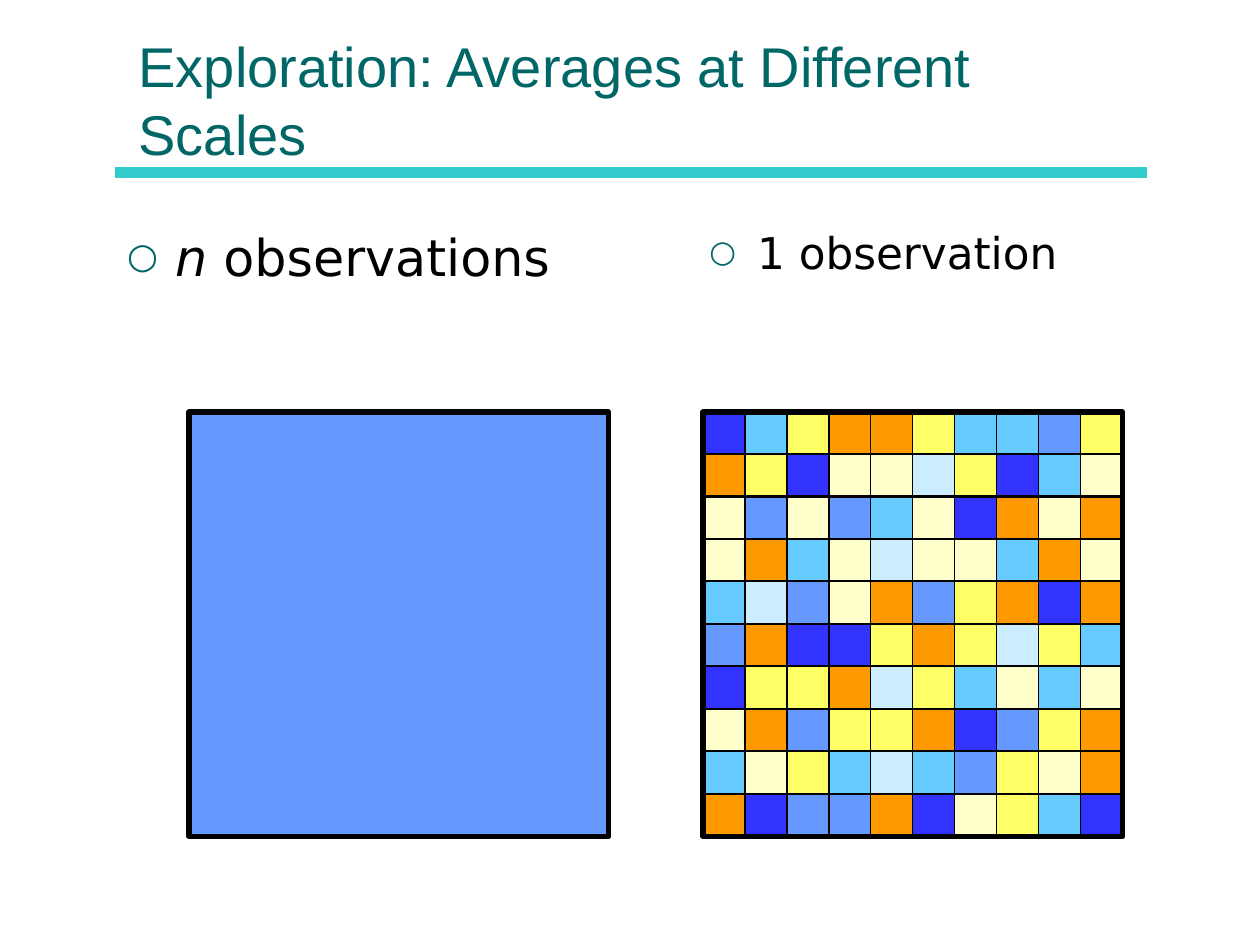
import pptx
import pptx.dml.color
import pptx.enum.shapes
import pptx.enum.text
import pptx.oxml
import pptx.oxml.ns
import pptx.util
from pptx.util import Inches

TITLE = {
    "at": (1, 0.12, 8, 1.25),
    "spans": [("Exploration: Averages at Different Scales", {})],
    "format": {"name": "Arial", "size": pptx.util.Pt(32)},
    "color": "006666",
}
LISTS = [
    {
        "at": (0.91, 1.74, 8.19, 4.5),
        "spans": [("n", {"italic": True}), (" observations", {"italic": False})],
        "format": {"name": "DejaVu Sans", "size": pptx.util.Pt(29)},
        "color": "000000",
    },
    {
        "at": (5.53, 1.74, 4.47, 4.5),
        "spans": [("1 observation", {})],
        "format": {"name": "DejaVu Sans", "size": pptx.util.Pt(25)},
        "color": "000000",
    },
]
BULLET = [
    '<a:buClr {}><a:srgbClr val="006666"/></a:buClr>',
    '<a:buSzPct {} val="70000"/>',
    '<a:buFont {} typeface="DejaVu Sans"/>',
    '<a:buChar {} char="○"/>',
]
COLORS = {
    "B": "3333FF", "M": "6699FF", "C": "66CCFF", "P": "CCECFF",
    "I": "FFFFCC", "Y": "FFFF66", "O": "FF9900",
}
GRID = [
    "BCYOOYCCMY",
    "OYBIIPYBCI",
    "IMIMCIBOIO",
    "IOCIPIICOI",
    "CPMIOMYOBO",
    "MOBBYOYPYC",
    "BYYOPYCICI",
    "IOMYYOBMYO",
    "CIYCPCMYIO",
    "OBMMOBIYCB",
]
SQUARE_LEFT, GRID_LEFT, TOP, WIDTH, HEIGHT = 1.5, 5.58, 3.27, 3.33, 3.37
CELL = 0.33


def rgb(value):
    return pptx.dml.color.RGBColor.from_string(value)


def fill_placeholder(box, content, anchor):
    box.left, box.top, box.width, box.height = map(Inches, content["at"])
    frame = box.text_frame
    frame.word_wrap = True
    frame.auto_size = pptx.enum.text.MSO_AUTO_SIZE.NONE
    frame.vertical_anchor = anchor
    para = frame.paragraphs[0]
    para.alignment = pptx.enum.text.PP_ALIGN.LEFT
    para.space_before = pptx.util.Pt(0)
    for text, extra in content["spans"]:
        span = para.add_run()
        span.text = text
        for key, value in (content["format"] | extra).items():
            setattr(span.font, key, value)
        span.font.color.rgb = rgb(content["color"])
    return para


def add_bullet(para):
    properties = para._p.get_or_add_pPr()
    properties.set("marL", str(Inches(0.38)))
    properties.set("indent", str(Inches(-0.38)))
    namespace = pptx.oxml.ns.nsdecls("a")
    for element in BULLET:
        properties.append(pptx.oxml.parse_xml(element.format(namespace)))


def add_rectangle(page, left, top, width, height, fill, weight):
    shape = page.shapes.add_shape(
        pptx.enum.shapes.MSO_SHAPE.RECTANGLE,
        *map(Inches, (left, top, width, height)))
    shape.shadow.inherit = False
    if fill:
        shape.fill.solid()
        shape.fill.fore_color.rgb = rgb(fill)
    else:
        shape.fill.background()
    shape.line.color.rgb = rgb("000000")
    shape.line.width = pptx.util.Pt(weight)


def add_rule(page):
    rule = page.shapes.add_connector(
        pptx.enum.shapes.MSO_CONNECTOR.STRAIGHT,
        *map(Inches, (0.91, 1.37, 9.1, 1.37)))
    rule.line.color.rgb = rgb("33CCCC")
    rule.line.width = pptx.util.Pt(6)
    rule._element.spPr.append(pptx.oxml.parse_xml(
        f'<a:effectLst {pptx.oxml.ns.nsdecls("a")}/>'))


def main():
    deck = pptx.Presentation()
    deck.slide_width, deck.slide_height = Inches(10), Inches(7.5)
    page = deck.slides.add_slide(deck.slide_layouts.get_by_name("Two Content"))
    add_rule(page)

    anchors = pptx.enum.text.MSO_ANCHOR
    fill_placeholder(page.shapes.title, TITLE, anchors.BOTTOM)
    for index, content in enumerate(LISTS, start=1):
        add_bullet(fill_placeholder(page.placeholders[index], content, anchors.TOP))

    add_rectangle(page, SQUARE_LEFT, TOP, WIDTH, HEIGHT, COLORS["M"], 3)
    for row, letters in enumerate(GRID):
        for column, letter in enumerate(letters):
            left = GRID_LEFT + column * WIDTH / len(letters)
            top = TOP + row * HEIGHT / len(GRID)
            add_rectangle(page, left, top, CELL, CELL, COLORS[letter], 0.75)
    add_rectangle(page, GRID_LEFT, TOP, WIDTH, HEIGHT, None, 3)
    deck.save("out.pptx")


if __name__ == "__main__":
    main()
